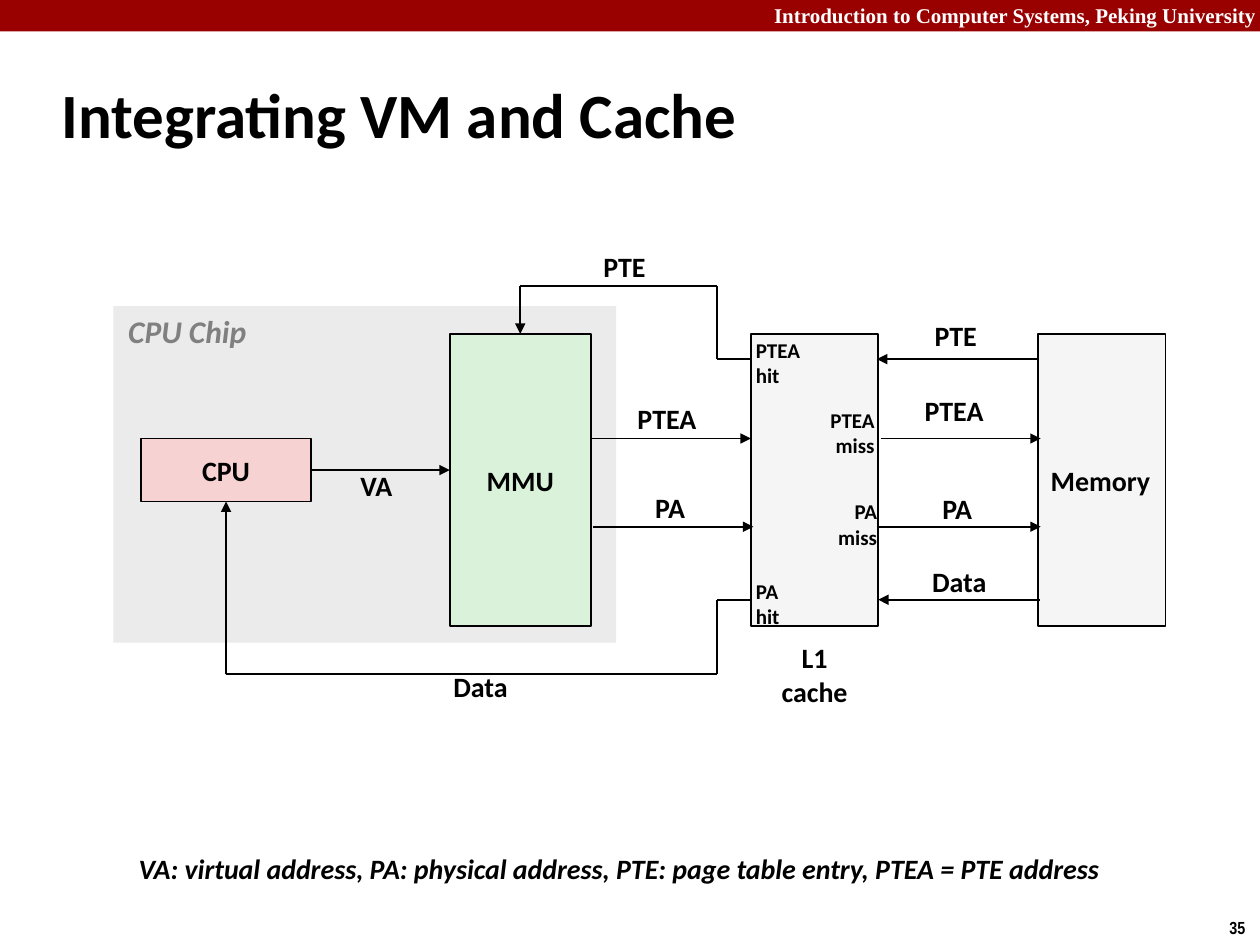
from dataclasses import dataclass
from typing import Optional

import pptx
import pptx.dml.color
import pptx.enum.shapes
import pptx.enum.text
import pptx.oxml.ns
import pptx.util
from lxml import etree

Pt = pptx.util.Pt
Align = pptx.enum.text.PP_ALIGN
Anchor = pptx.enum.text.MSO_ANCHOR
qn = pptx.oxml.ns.qn

BLACK = "000000"
TOP, LEFT, BOTTOM, RIGHT = range(4)
BLOCK_TOP, BLOCK_HEIGHT = 190.8, 167
MMU_RIGHT, CACHE_LEFT, CACHE_RIGHT, MEMORY_LEFT = 337.7, 429.1, 501.8, 593.3
PTE_ROW, PTEA_ROW, PA_ROW, DATA_ROW = 205.2, 250.6, 301, 342.7
CPU_CENTER, MMU_CENTER, BEND = 129.2, 297.3, 409.7
RETURN_TOP, RETURN_BOTTOM = 163.4, 385.2


@dataclass
class Style:
    size: float = 16
    font: str = "Calibri"
    color: str = BLACK
    italic: bool = False
    align: Align = Align.LEFT
    anchor: Anchor = Anchor.MIDDLE
    inset: tuple[float, float] = (7.2, 3.6)
    spacing: Optional[float] = None
    wrap: bool = False


@dataclass
class Block:
    left: float
    top: float
    width: float
    height: float
    fill: str
    text: str = ""
    outlined: bool = True
    align: Align = Align.CENTER


@dataclass
class Label:
    text: str
    left: float
    top: float
    width: float
    height: float
    style: Style


@dataclass
class Wire:
    start: tuple[float, float]
    end: tuple[float, float]
    arrow: bool = True
    source: Optional[tuple[str, int]] = None
    target: Optional[tuple[str, int]] = None


BODY = Style()
TIGHT = Style(inset=(5, 2.2), spacing=0.85, anchor=Anchor.TOP)
SMALL = Style(size=12)
SMALL_RIGHT = Style(size=12, align=Align.RIGHT)

BLOCKS = {
    "banner": Block(0, 0, 720, 18, "990000", outlined=False),
    "chip": Block(64.8, 175, 287.3, 192.2, "EBEBEB", outlined=False),
    "cpu": Block(80.6, 250.6, 97.2, 36, "F6D2D2", "CPU"),
    "mmu": Block(257, BLOCK_TOP, 80.6, BLOCK_HEIGHT, "DBF2DA", "MMU"),
    "cache": Block(CACHE_LEFT, BLOCK_TOP, 72.7, BLOCK_HEIGHT, "F5F5F5"),
    "memory": Block(MEMORY_LEFT, BLOCK_TOP, 72.7, BLOCK_HEIGHT, "F5F5F5", "Memory", align=Align.LEFT),
}

WIRES = [
    Wire((177.8, 268.6), (257, 268.6), source=("cpu", RIGHT)),
    Wire((MMU_RIGHT, PTEA_ROW), (CACHE_LEFT, PTEA_ROW)),
    Wire((MMU_RIGHT + 1.4, PA_ROW), (CACHE_LEFT + 1.4, PA_ROW)),
    Wire((CACHE_RIGHT + 1.4, PTEA_ROW), (MEMORY_LEFT + 1.4, PTEA_ROW)),
    Wire((CACHE_RIGHT, PA_ROW), (MEMORY_LEFT + 1.4, PA_ROW)),
    Wire((MEMORY_LEFT, PTE_ROW), (CACHE_RIGHT - 0.7, PTE_ROW)),
    Wire((MEMORY_LEFT + 0.7, DATA_ROW), (CACHE_RIGHT, DATA_ROW)),
    Wire((CACHE_LEFT, PTE_ROW), (BEND, PTE_ROW), False),
    Wire((BEND, PTE_ROW), (BEND, RETURN_TOP), False),
    Wire((BEND, RETURN_TOP), (MMU_CENTER, RETURN_TOP), False),
    Wire((MMU_CENTER, RETURN_TOP), (MMU_CENTER, BLOCK_TOP), target=("mmu", TOP)),
    Wire((CACHE_LEFT, DATA_ROW), (BEND, DATA_ROW), False),
    Wire((BEND, DATA_ROW), (BEND, RETURN_BOTTOM), False),
    Wire((BEND, RETURN_BOTTOM), (CPU_CENTER, RETURN_BOTTOM), False),
    Wire((CPU_CENTER, RETURN_BOTTOM), (CPU_CENTER, 286.6), target=("cpu", BOTTOM)),
]

LABELS = [
    Label("Introduction to Computer Systems, Peking University", 432, -2.2, 293, 21.6,
          Style(12, "Times New Roman", "FFFFFF", anchor=Anchor.TOP, align=Align.RIGHT, wrap=True)),
    Label("35", 695.5, 520.6, 24.5, 19.4, Style(10, "Arial Narrow", anchor=Anchor.TOP)),
    Label("Integrating VM and Cache", 28.1, 34.6, 597.6, 59.8, Style(36, wrap=True)),
    Label("CPU Chip", 66.2, 175, 87.1, 28.8, Style(18, color="808080", italic=True, anchor=Anchor.TOP)),
    Label("VA", 200.9, 268.6, 30.2, 20.9, TIGHT),
    Label("PTEA", 359.3, 230.4, 44.6, 20.9, TIGHT),
    Label("PA", 369.4, 280.8, 27.4, 20.9, TIGHT),
    Label("PTEA", 523.4, 225.4, 44.6, 20.9, TIGHT),
    Label("PTE", 337.7, 139, 38.9, 26.6, BODY),
    Label("PTE", 527, 178.6, 38.9, 26.6, BODY),
    Label("PA", 531.4, 277.2, 31.7, 26.6, BODY),
    Label("Data", 252, 378.7, 46.1, 26.6, BODY),
    Label("Data", 525.6, 319, 46.1, 26.6, BODY),
    Label("PTEA\nhit", 424.8, 189.4, 39.6, 36, SMALL),
    Label("PA\nhit", 424.8, 326.9, 28.1, 36, SMALL),
    Label("PTEA\nmiss", 467.3, 229, 39.6, 36, SMALL_RIGHT),
    Label("PA\nmiss", 470.9, 281.5, 37.4, 36, SMALL_RIGHT),
    Label("L1\ncache", 439.2, 362.2, 52.6, 46.1, Style(align=Align.CENTER)),
    Label("VA: virtual address, PA: physical address, PTE: page table entry, PTEA = PTE address",
          74.2, 487.4, 570.2, 20.9,
          Style(italic=True, inset=(5, 2.2), spacing=0.85, anchor=Anchor.TOP)),
]


def rgb(value: str) -> pptx.dml.color.RGBColor:
    return pptx.dml.color.RGBColor.from_string(value)


def write(box, text: str, style: Style) -> None:
    frame = box.text_frame
    frame.word_wrap = style.wrap
    frame.vertical_anchor = style.anchor
    frame.margin_left = frame.margin_right = Pt(style.inset[0])
    frame.margin_top = frame.margin_bottom = Pt(style.inset[1])
    for index, line in enumerate(text.split("\n")):
        para = frame.add_paragraph() if index else frame.paragraphs[0]
        para.alignment = style.align
        if style.spacing:
            para.line_spacing = style.spacing
        span = para.add_run()
        span.text = line
        span.font.name = style.font
        span.font.size = Pt(style.size)
        span.font.bold = True
        span.font.italic = style.italic
        span.font.color.rgb = rgb(style.color)


def draw_block(page, block: Block):
    box = page.shapes.add_shape(
        pptx.enum.shapes.MSO_SHAPE.RECTANGLE,
        Pt(block.left), Pt(block.top), Pt(block.width), Pt(block.height))
    box.shadow.inherit = False
    box.fill.solid()
    box.fill.fore_color.rgb = rgb(block.fill)
    if block.outlined:
        box.line.color.rgb = rgb(BLACK)
        box.line.width = Pt(1)
    else:
        box.line.fill.background()
    if block.text:
        write(box, block.text, Style(align=block.align))
    return box


def draw_wire(page, wire: Wire, boxes: dict) -> None:
    line = page.shapes.add_connector(
        pptx.enum.shapes.MSO_CONNECTOR.STRAIGHT, *map(Pt, wire.start + wire.end))
    line.line.color.rgb = rgb(BLACK)
    line.line.width = Pt(1)
    if wire.arrow:
        etree.SubElement(line.line._get_or_add_ln(), qn("a:tailEnd"), type="triangle")
    etree.SubElement(line._element.spPr, qn("a:effectLst"))
    if wire.source:
        line.begin_connect(boxes[wire.source[0]], wire.source[1])
    if wire.target:
        line.end_connect(boxes[wire.target[0]], wire.target[1])


def draw_label(page, label: Label) -> None:
    box = page.shapes.add_textbox(
        Pt(label.left), Pt(label.top), Pt(label.width), Pt(label.height))
    write(box, label.text, label.style)


def main() -> None:
    deck = pptx.Presentation()
    deck.slide_width, deck.slide_height = Pt(720), Pt(540)
    page = deck.slides.add_slide(deck.slide_layouts[6])
    boxes = {name: draw_block(page, block) for name, block in BLOCKS.items()}
    for wire in WIRES:
        draw_wire(page, wire, boxes)
    for label in LABELS:
        draw_label(page, label)
    deck.save("out.pptx")


if __name__ == "__main__":
    main()
